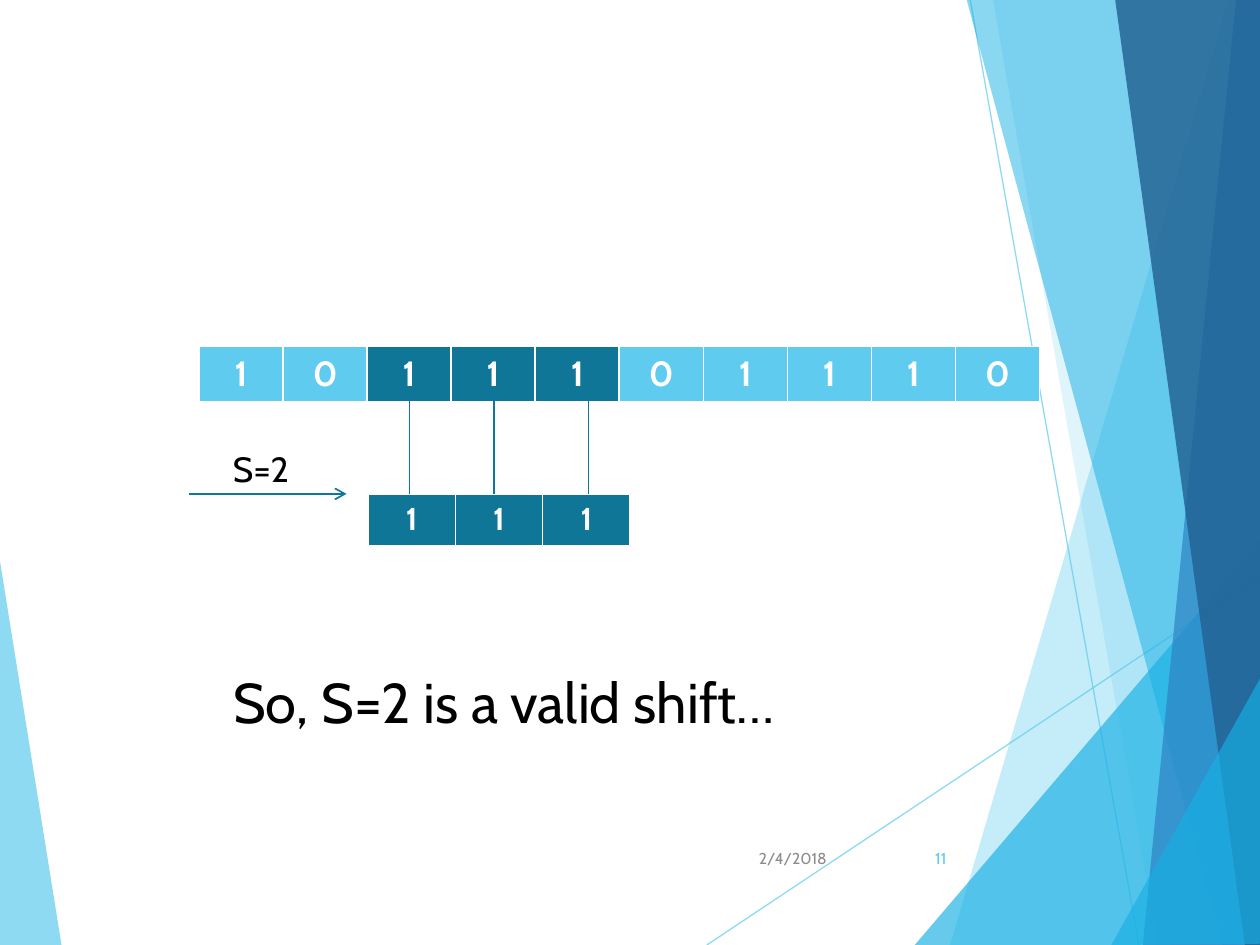
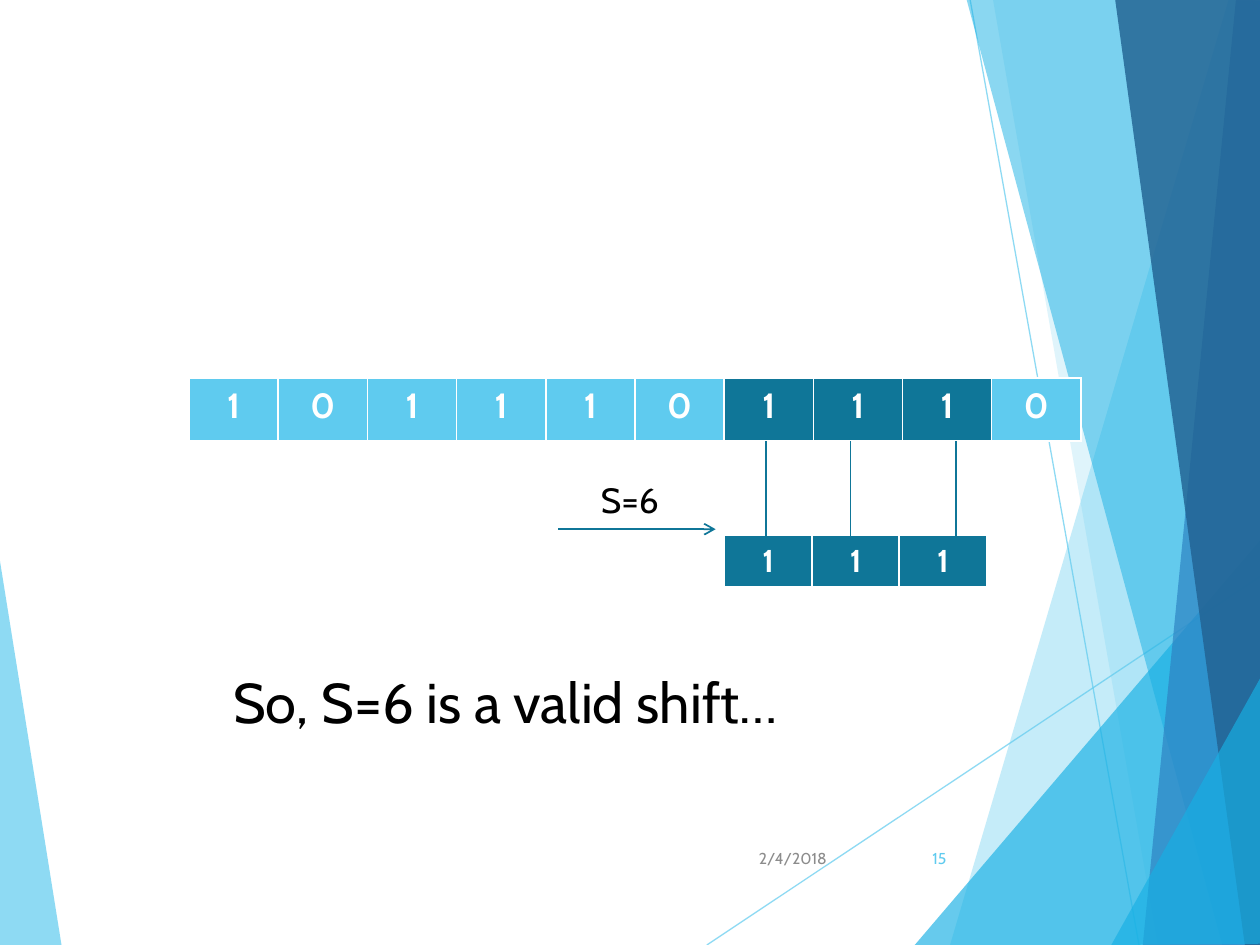
"""Build two slides that show valid shifts in string matching."""
from dataclasses import dataclass

from lxml import etree
from pptx import Presentation
from pptx.dml.color import RGBColor
from pptx.enum import shapes, text
from pptx.oxml import ns
from pptx.util import Inches, Pt


@dataclass(frozen=True)
class Theme:
    """Colours, font and type sizes of the deck."""
    sky: str = "5FCBEF"
    cyan: str = "17B0E4"
    blue: str = "2E83C3"
    navy: str = "226292"
    teal: str = "0F7698"
    white: str = "FFFFFF"
    black: str = "000000"
    grey: str = "8C8C8C"
    font: str = "Cabin"
    conclusion_size: int = 32
    bits_size: int = 20
    pattern_size: int = 18
    footer_size: int = 9


THEME = Theme()

BACKDROP_LINES = [((5.61, 7.5), (10.01, 4.57)), ((7.7, 0), (9.04, 7.5))]
LEFT_WEDGE = ([(-0.01, 4.39), (0.49, 7.51), (-0.01, 7.5)], THEME.sky, 70)
RIGHT_FACETS = [
    ([(9.75, 0), (7.54, 7.5), (10.02, 7.51), (10.01, 0.01)], THEME.sky, 36),
    ([(7.88, -0.01), (9.19, 7.5), (10.01, 7.5), (10.01, -0.01)], THEME.sky, 20),
    ([(7.26, 7.5), (10, 4.29), (10.01, 7.5)], THEME.cyan, 66),
    ([(7.67, -0.01), (9.7, 7.5), (10.01, 7.49), (10.01, -0.01)], THEME.cyan, 50),
    ([(9.81, -0.01), (9.07, 7.5), (10.01, 7.5), (10, -0.01)], THEME.blue, 70),
    ([(8.85, -0.01), (9.88, 7.5), (10.02, 7.5), (10, -0.01)], THEME.navy, 82),
    ([(8.82, 7.5), (10.02, 5.35), (10.02, 7.49)], THEME.cyan, 66),
]

BITS = "1011101110"
PATTERN = "111"
PATTERN_WIDTH = 2.08
MATCH_GAP = 0.75


@dataclass(frozen=True)
class ShiftSlide:
    """Content and places of one shift slide, in inches."""
    number: int
    shift: int
    bits_box: tuple
    pattern_at: tuple
    match_lines: tuple
    arrow_at: tuple
    label_at: tuple


SHIFT_SLIDES = [
    ShiftSlide(11, 2, (1.58, 2.75, 6.67, 0.41), (2.92, 3.92),
               (3.25, 3.92, 4.67), (1.5, 3.92), (1.75, 3.5)),
    ShiftSlide(15, 6, (1.5, 3, 7.08, 0.5), (5.75, 4.25),
               (6.08, 6.75, 7.59), (4.43, 4.2), (4.67, 3.75)),
]


def set_alpha(shape, percent):
    """Make every colour of a shape's fill and line partly transparent."""
    for colour in shape.element.spPr.iter(ns.qn("a:srgbClr")):
        alpha = etree.SubElement(colour, ns.qn("a:alpha"))
        alpha.set("val", str(percent * 1000))


def add_line(page, start, end, colour, width=1, arrow=False):
    """Add a straight line, with an arrowhead at its end if asked."""
    points = [Inches(value) for value in (*start, *end)]
    line = page.shapes.add_connector(shapes.MSO_CONNECTOR.STRAIGHT, *points)
    line.line.color.rgb = RGBColor.from_string(colour)
    line.line.width = Pt(width)
    if arrow:
        head = etree.SubElement(line.line._get_or_add_ln(), ns.qn("a:tailEnd"))
        head.set("type", "arrow")
    etree.SubElement(line.element.spPr, ns.qn("a:effectLst"))
    return line


def add_facet(page, points, colour, alpha):
    """Add a translucent polygon."""
    corners = [(Inches(x), Inches(y)) for x, y in points]
    builder = page.shapes.build_freeform(*corners[0])
    builder.add_line_segments(corners[1:])
    facet = builder.convert_to_shape()
    facet.shadow.inherit = False
    facet.fill.solid()
    facet.fill.fore_color.rgb = RGBColor.from_string(colour)
    facet.line.fill.background()
    set_alpha(facet, alpha)
    return facet


def move_backdrop_to_layout(page, layout):
    """Draw the facets and put them on the layout that all slides share."""
    backdrop = [add_facet(page, *LEFT_WEDGE)]
    for start, end in BACKDROP_LINES:
        line = add_line(page, start, end, THEME.sky, 0.75)
        set_alpha(line, 70)
        backdrop.append(line)
    backdrop += [add_facet(page, *facet) for facet in RIGHT_FACETS]
    for shape in backdrop:
        layout.shapes.element.append(shape.element)


def format_text(frame, size, colour, align, bold=False):
    """Format all runs of a text frame or table cell."""
    for para in frame.paragraphs:
        para.alignment = align
        for span in para.runs:
            span.font.name = THEME.font
            span.font.size = Pt(size)
            span.font.bold = bold
            span.font.color.rgb = RGBColor.from_string(colour)


def fill_box(box, words, size, colour, align=text.PP_ALIGN.LEFT,
             anchor=text.MSO_ANCHOR.TOP):
    """Set and format the words of a text box or placeholder."""
    frame = box.text_frame
    frame.text = words
    frame.word_wrap = True
    frame.auto_size = text.MSO_AUTO_SIZE.NONE
    frame.vertical_anchor = anchor
    format_text(frame, size, colour, align)


def add_text(page, place, words, size, colour, **options):
    """Add a text box at left, top, width, height."""
    box = page.shapes.add_textbox(*map(Inches, place))
    fill_box(box, words, size, colour, **options)


def add_bit_row(page, place, bits, size, matched):
    """Add a one-row table of bits, with the matched columns darker."""
    frame = page.shapes.add_table(1, len(bits), *map(Inches, place))
    frame.table.horz_banding = False
    for column, bit in enumerate(bits):
        cell = frame.table.cell(0, column)
        cell.text = bit
        cell.fill.solid()
        colour = THEME.teal if column in matched else THEME.sky
        cell.fill.fore_color.rgb = RGBColor.from_string(colour)
        format_text(cell.text_frame, size, THEME.white,
                    text.PP_ALIGN.CENTER, bold=True)


def add_conclusion(page, words):
    """Write the conclusion in the title placeholder."""
    title = page.shapes.title
    title.left, title.top = Inches(1.75), Inches(5.25)
    title.width, title.height = Inches(6.75), Inches(0.64)
    fill_box(title, words, THEME.conclusion_size, THEME.black)


def add_footer(page, number):
    """Add the date and the slide number."""
    for left, width, words, colour in (
            (5.91, 0.75, "2/4/2018", THEME.grey),
            (7.05, 0.56, str(number), THEME.sky)):
        add_text(page, (left, 6.61, width, 0.4), words, THEME.footer_size, colour,
                 align=text.PP_ALIGN.RIGHT, anchor=text.MSO_ANCHOR.MIDDLE)


def add_shift_diagram(page, slide):
    """Show the pattern below the bits that it matches."""
    matched = range(slide.shift, slide.shift + len(PATTERN))
    add_bit_row(page, slide.bits_box, BITS, THEME.bits_size, matched)
    add_bit_row(page, (*slide.pattern_at, PATTERN_WIDTH, 0.41), PATTERN,
                THEME.pattern_size, range(len(PATTERN)))
    pattern_top = slide.pattern_at[1]
    for x in slide.match_lines:
        add_line(page, (x, pattern_top - MATCH_GAP), (x, pattern_top), THEME.teal)
    x, y = slide.arrow_at
    add_line(page, (x, y), (x + 1.25, y), THEME.teal, arrow=True)
    add_text(page, (*slide.label_at, 0.75, 0.44), f"S={slide.shift}",
             THEME.bits_size, THEME.black)


def main():
    """Build and save the deck."""
    deck = Presentation()
    deck.slide_width, deck.slide_height = Inches(10), Inches(7.5)
    layout = deck.slide_layouts.get_by_name("Title Only")
    for holder in list(layout.placeholders)[1:]:
        layout.shapes.element.remove(holder.element)
    for index, slide in enumerate(SHIFT_SLIDES):
        page = deck.slides.add_slide(layout)
        if index == 0:
            move_backdrop_to_layout(page, layout)
        add_shift_diagram(page, slide)
        add_conclusion(page, f"So, S={slide.shift} is a valid shift…")
        add_footer(page, slide.number)
    deck.save("out.pptx")


if __name__ == "__main__":
    main()
